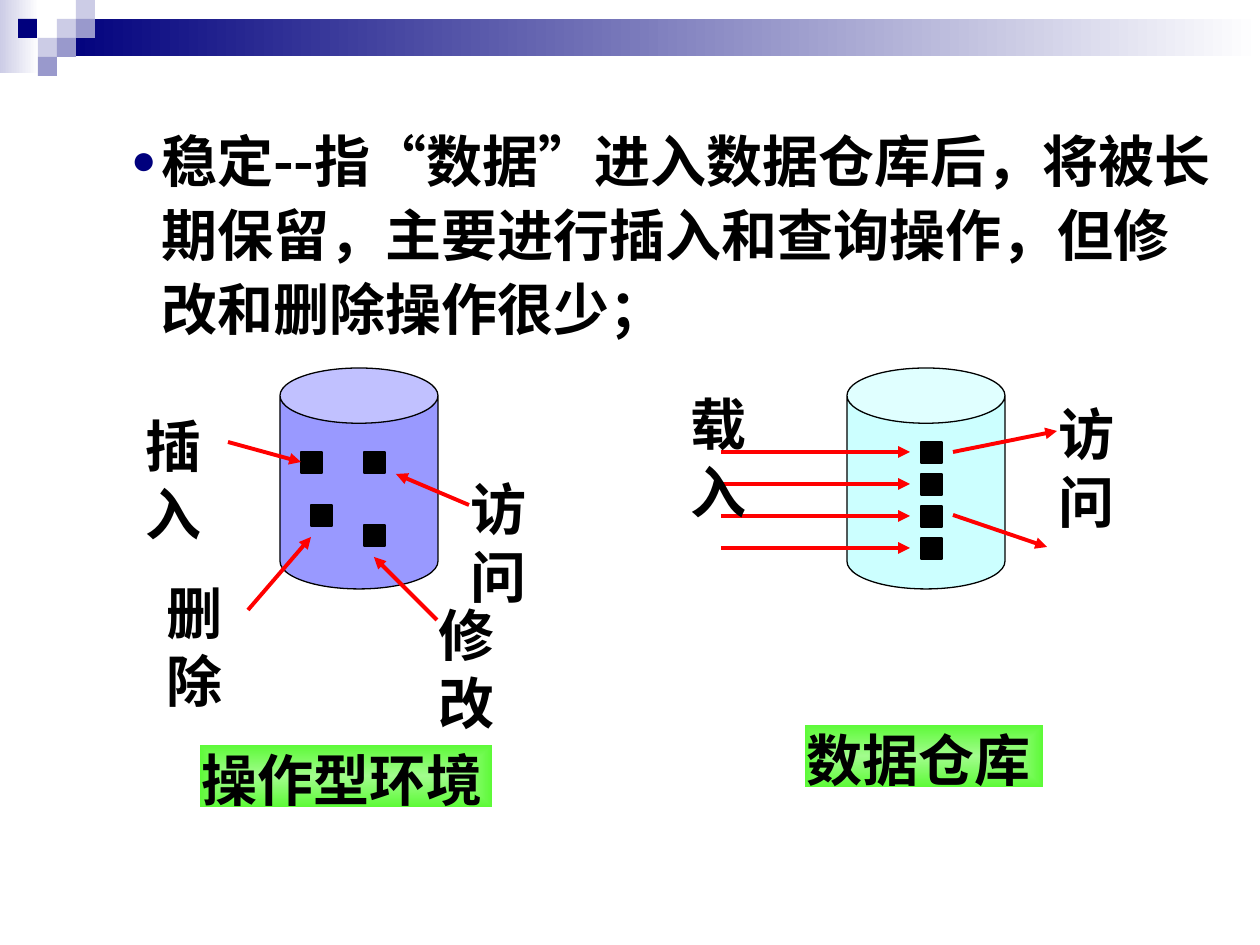
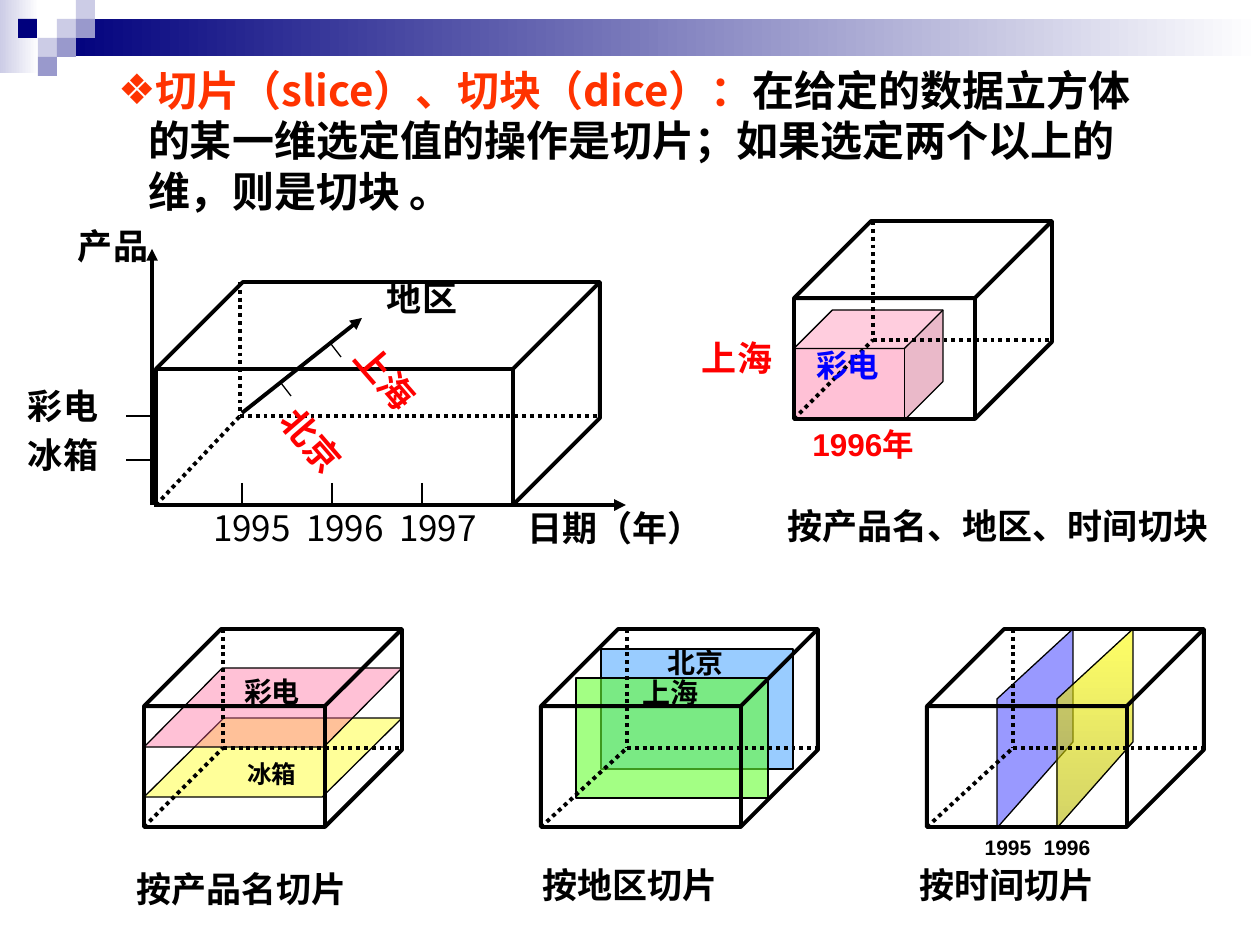
from dataclasses import dataclass

from lxml import etree
from pptx import Presentation
from pptx.dml.color import RGBColor
from pptx.enum.dml import MSO_LINE
from pptx.enum.shapes import MSO_CONNECTOR, MSO_SHAPE
from pptx.enum.text import MSO_ANCHOR, PP_ALIGN
from pptx.oxml import parse_xml
from pptx.oxml.ns import nsdecls, qn
from pptx.util import Emu, Pt

RECT, CAN, CUBE = MSO_SHAPE.RECTANGLE, MSO_SHAPE.CAN, MSO_SHAPE.CUBE
SLANT = MSO_SHAPE.PARALLELOGRAM
STRAIGHT, DOTS = MSO_CONNECTOR.STRAIGHT, MSO_LINE.ROUND_DOT
LEFT, CENTER = PP_ALIGN.LEFT, PP_ALIGN.CENTER
TOP, MIDDLE = MSO_ANCHOR.TOP, MSO_ANCHOR.MIDDLE
SCALE = 914400 / 126


@dataclass(frozen=True)
class Theme:
    latin: str = "Arial"
    asian: str = "Noto Sans CJK SC"
    black: str = "000000"
    red: str = "FF0000"
    blue: str = "0000FF"
    orange: str = "FF3300"
    navy: str = "00007D"
    pale: str = "CCCCE6"
    mid: str = "9999CC"
    white: str = "FFFFFF"
    violet: str = "9999FF"
    cyan: str = "CCFFFF"
    yellow: str = "FFFF99"
    gold: str = "FFFF00"
    olive: str = "B6B600"
    pink: str = "FF6699"
    sky: str = "99CCFF"
    lime: str = "66FF33"
    mint: str = "A2FC8D"
    green: str = "5DFA38"
    big: int = 32
    head: int = 24
    body: int = 20
    note: int = 18
    mark: int = 16
    small: int = 14
    tiny: int = 12
    thin: float = 0.75
    thick: float = 2.25


T = Theme()
ACROSS = '<a:lin ang="0" scaled="1"/>'
DOWN = '<a:lin ang="5400000" scaled="1"/>'
INWARD = ('<a:path path="shape"><a:fillToRect l="50000" t="50000" '
          'r="50000" b="50000"/></a:path>')

# Bands: box, then one colour or a gradient
BANDS = [
    ((0, 0, 39, 73), ([(T.pale, 100), (T.white, 100)], ACROSS)),
    ((57, 19, 1203, 37), ([(T.navy, 100), (T.white, 100)], ACROSS)),
]
TILES = [(57, 19, T.pale), (76, 0, T.pale), (76, 19, T.mid), (38, 38, T.pale),
         (18, 19, T.navy), (57, 38, T.mid), (38, 57, T.mid)]
TILE = 19

# Slide 1
STABLE = "稳定--指“数据”进入数据仓库后，将被长期保留，主要进行插入和查询操作，但修改和删除操作很少；"
STORES = [(280, T.violet), (847, T.cyan)]
LOADS = [442 + 32 * i for i in range(4)]
RECORDS = [(301, 452), (364, 452), (311, 505), (364, 525)]
RECORDS += [(921, y) for y in LOADS]
RECORD = 21
ACTIONS = [("插入", 144, 411), ("删除", 165, 578), ("修改", 437, 600),
           ("访问", 469, 474), ("载入", 689, 389), ("访问", 1057, 399)]
FLOWS = [(228, 442, 301, 462), (437, 620, 374, 557), (248, 610, 311, 537),
         (469, 505, 396, 474), (953, 452, 1057, 431), (953, 515, 1047, 547)]
FLOWS += [(721, y + 10, 910, y + 10) for y in LOADS]
NAMES = [("操作型环境", (200, 745, 292, 62)), ("数据仓库", (805, 725, 238, 62))]

# Slide 2
TERMS = "切片（slice）、切块（dice）："
MEANING = "在给定的数据立方体的某一维选定值的操作是切片；如果选定两个以上的维，则是切块 。"
PLANES = [  # preset, box, adjustment, colour, opacity
    (SLANT, (144, 718, 258, 79), 1.01, T.yellow, 100),
    (SLANT, (144, 668, 258, 79), 0.99, T.pink, 40),
    (RECT, (601, 649, 192, 120), None, T.sky, 100),
    (RECT, (576, 678, 192, 120), None, T.lime, 60),
    (CUBE, (794, 310, 149, 110), 0.35, T.pink, 40),
]
YEARS = [(997, ([(T.violet, 100), (T.violet, 100)], DOWN)),
         (1057, ([(T.gold, 60), (T.olive, 60)], DOWN))]
CUBES = [  # box, offset of the hidden corner
    ((156, 282, 444, 223), 84),
    ((144, 629, 258, 198), 79),
    ((541, 629, 277, 198), 86),
    ((927, 629, 277, 198), 86),
    ((794, 221, 258, 198), 79),
]
AXES = [(154, 505, 626, 505), (152, 505, 152, 249), (242, 413, 362, 318)]
TICKS = [(x, 483, x, 505) for x in (242, 332, 422)]
TICKS += [(154, y, 126, y) for y in (416, 460)]
TICKS += [(281, 383, 291, 396), (331, 344, 341, 357)]
TILT = 49.1
LABELS = [  # text, centre x, centre y, size, colour, turn
    ("产品", 113, 245, T.body, T.black, 0),
    ("日期（年）", 615, 527, T.body, T.black, 0),
    ("地区", 422, 297, T.body, T.black, 0),
    ("彩电", 63, 405, T.body, T.black, 0),
    ("冰箱", 63, 454, T.body, T.black, 0),
    ("上海", 386, 377, T.body, T.red, TILT),
    ("北京", 312, 440, T.body, T.red, TILT),
    ("按产品名切片", 242, 888, T.body, T.black, 0),
    ("按地区切片", 630, 884, T.body, T.black, 0),
    ("按时间切片", 1007, 884, T.body, T.black, 0),
    ("按产品名、地区、时间切块", 998, 525, T.body, T.black, 0),
    ("上海", 737, 357, T.body, T.red, 0),
    ("1996年", 863, 444, T.note, T.red, 0),
    ("冰箱", 272, 774, T.small, T.black, 0),
    ("彩电", 272, 691, T.mark, T.black, 0),
    ("北京", 696, 662, T.mark, T.black, 0),
    ("上海", 671, 692, T.mark, T.black, 0),
    ("彩电", 848, 365, T.note, T.blue, 0),
    ("1995", 1008, 847, T.tiny, T.black, 0),
    ("1996", 1067, 847, T.tiny, T.black, 0),
]
DATES = [(str(1995 + i), 252 + 93 * i, 527) for i in range(3)]


def px(*nums):
    return [Emu(round(n * SCALE)) for n in nums]


def rgb(code):
    return RGBColor.from_string(code)


def tint(code, alpha):
    return f'<a:srgbClr val="{code}"><a:alpha val="{alpha * 1000}"/></a:srgbClr>'


def paint(shape, fill, alpha=100):
    """Fill with a colour, with (stops, shade) as a gradient, or not at all."""
    shape.fill.background()
    if fill is None:
        return
    if isinstance(fill, str):
        tag, inner = "solidFill", tint(fill, alpha)
    else:
        stops, shade = fill
        tag = "gradFill"
        inner = "".join(f'<a:gs pos="{i * 100000}">{tint(*stop)}</a:gs>'
                        for i, stop in enumerate(stops))
        inner = f"<a:gsLst>{inner}</a:gsLst>{shade}"
    props = shape._element.spPr
    node = parse_xml(f'<a:{tag} {nsdecls("a")}>{inner}</a:{tag}>')
    props.replace(props.find(qn("a:noFill")), node)


def edge(shape, width):
    shape.shadow.inherit = False
    if width:
        shape.line.color.rgb = rgb(T.black)
        shape.line.width = Pt(width)
    else:
        shape.line.fill.background()


def block(slide, kind, box, fill=None, width=0, adj=None, alpha=100):
    shape = slide.shapes.add_shape(kind, *px(*box))
    if adj is not None:
        shape.adjustments[0] = adj
    edge(shape, width)
    paint(shape, fill, alpha)
    return shape


def line(slide, ends, color=T.black, width=T.thick, dots=False, arrow=False):
    link = slide.shapes.add_connector(STRAIGHT, *px(*ends))
    link.line.color.rgb = rgb(color)
    link.line.width = Pt(width)
    if dots:
        link.line.dash_style = DOTS
    if arrow:
        etree.SubElement(link.get_or_add_ln(), qn("a:tailEnd"), type="triangle")
    etree.SubElement(link._element.spPr, qn("a:effectLst"))


def write(shape, runs, size, color=T.black, bold=True, font=T.latin,
          align=LEFT, anchor=TOP, wrap=True, inset=(13, 6)):
    """Set one paragraph; runs are (text, own colour or None)."""
    frame = shape.text_frame
    frame.word_wrap, frame.vertical_anchor = wrap, anchor
    frame.margin_left = frame.margin_right = px(inset[0])[0]
    frame.margin_top = frame.margin_bottom = px(inset[1])[0]
    para = frame.paragraphs[0]
    para.alignment = align
    face = para.font
    face.size, face.bold, face.name = Pt(size), bold, font
    face.color.rgb = rgb(color)
    etree.SubElement(para._p.pPr.find(qn("a:defRPr")), qn("a:ea"),
                     typeface=T.asian)
    for text, own in runs:
        run = para.add_run()
        run.text = text
        if own:
            run.font.color.rgb = rgb(own)
    return para


def bullet(para, char, color, size):
    props = para._p.get_or_add_pPr()
    hang = px(30)[0]
    props.set("marL", str(hang))
    props.set("indent", str(-hang))
    tail = props.find(qn("a:defRPr"))
    for xml in (f"<a:buClr {nsdecls('a')}><a:srgbClr val='{color}'/></a:buClr>",
                f"<a:buSzPct {nsdecls('a')} val='{size * 1000}'/>",
                f"<a:buFont {nsdecls('a')} typeface='{T.latin}'/>",
                f"<a:buChar {nsdecls('a')} char='{char}'/>"):
        tail.addprevious(parse_xml(xml))


def label(slide, text, x, y, size, color=T.black, turn=0, **style):
    """Put one line of text around the point x, y."""
    wide, high = len(text) * size * 2 + 26, size * 2 + 14
    box = slide.shapes.add_textbox(*px(x - wide / 2, y - high / 2, wide, high))
    box.rotation = turn
    write(box, [(text, None)], size, color, align=CENTER, anchor=MIDDLE,
          wrap=False, **style)


def base(deck):
    slide = deck.slides.add_slide(deck.slide_layouts[6])
    for box, fill in BANDS:
        block(slide, RECT, box, fill)
    for x, y, fill in TILES:
        block(slide, RECT, (x, y, TILE, TILE), fill)
    return slide


def stable(deck):
    slide = base(deck)
    box = slide.shapes.add_textbox(*px(118, 114, 1112, 234))
    para = write(box, [(STABLE, None)], T.big, font=T.asian)
    para.line_spacing = 1.1
    bullet(para, "●", T.navy, 75)
    for x, fill in STORES:
        block(slide, CAN, (x, 368, 158, 221), fill, T.thin, 0.35)
    for x, y in RECORDS:
        block(slide, RECT, (x, y, RECORD, RECORD), T.black, T.thin)
    for ends in FLOWS:
        line(slide, ends, T.red, arrow=True)
    for text, x, y in ACTIONS:
        box = slide.shapes.add_textbox(*px(x, y, 95, 136))
        write(box, [(text, None)], T.big, inset=(2, 1))
    glow = ([(T.mint, 100), (T.green, 100)], INWARD)
    for text, spot in NAMES:
        write(block(slide, RECT, spot, glow), [(text, None)], T.big, inset=(2, 1))


def wire(slide, box, deep):
    """Draw a see-through cube with its three hidden edges dotted."""
    block(slide, CUBE, box, None, T.thick, 0.39)
    x, y, wide, high = box
    back, floor = x + deep, y + round(0.6 * high)
    for ends in ((back, y, back, floor), (back, floor, x + wide, floor),
                 (x, y + high, back, floor)):
        line(slide, ends, dots=True)


def cut(slide, x, fill):
    """Draw the upright plane of one year."""
    pen = slide.shapes.build_freeform(x + 76, 629, scale=SCALE)
    pen.add_line_segments([(x, 699), (x, 828), (x + 76, 742)])
    shape = pen.convert_to_shape()
    edge(shape, T.thin)
    paint(shape, fill)


def slices(deck):
    slide = base(deck)
    box = slide.shapes.add_textbox(*px(105, 59, 1042, 162))
    para = write(box, [(TERMS, T.orange), (MEANING, None)], T.head,
                 font=T.asian, anchor=MIDDLE)
    bullet(para, "❖", T.orange, 100)
    for kind, spot, adj, fill, alpha in PLANES:
        block(slide, kind, spot, fill, T.thin, adj, alpha)
    for x, fill in YEARS:
        cut(slide, x, fill)
    for spot, deep in CUBES:
        wire(slide, spot, deep)
    for ends in AXES:
        line(slide, ends, arrow=True)
    for ends in TICKS:
        line(slide, ends, width=T.thin)
    for item in LABELS:
        label(slide, *item)
    for text, x, y in DATES:
        label(slide, text, x, y, T.body, bold=False, font=T.asian)


def main():
    deck = Presentation()
    deck.slide_width, deck.slide_height = px(1260, 945)
    stable(deck)
    slices(deck)
    deck.save("out.pptx")


if __name__ == "__main__":
    main()
